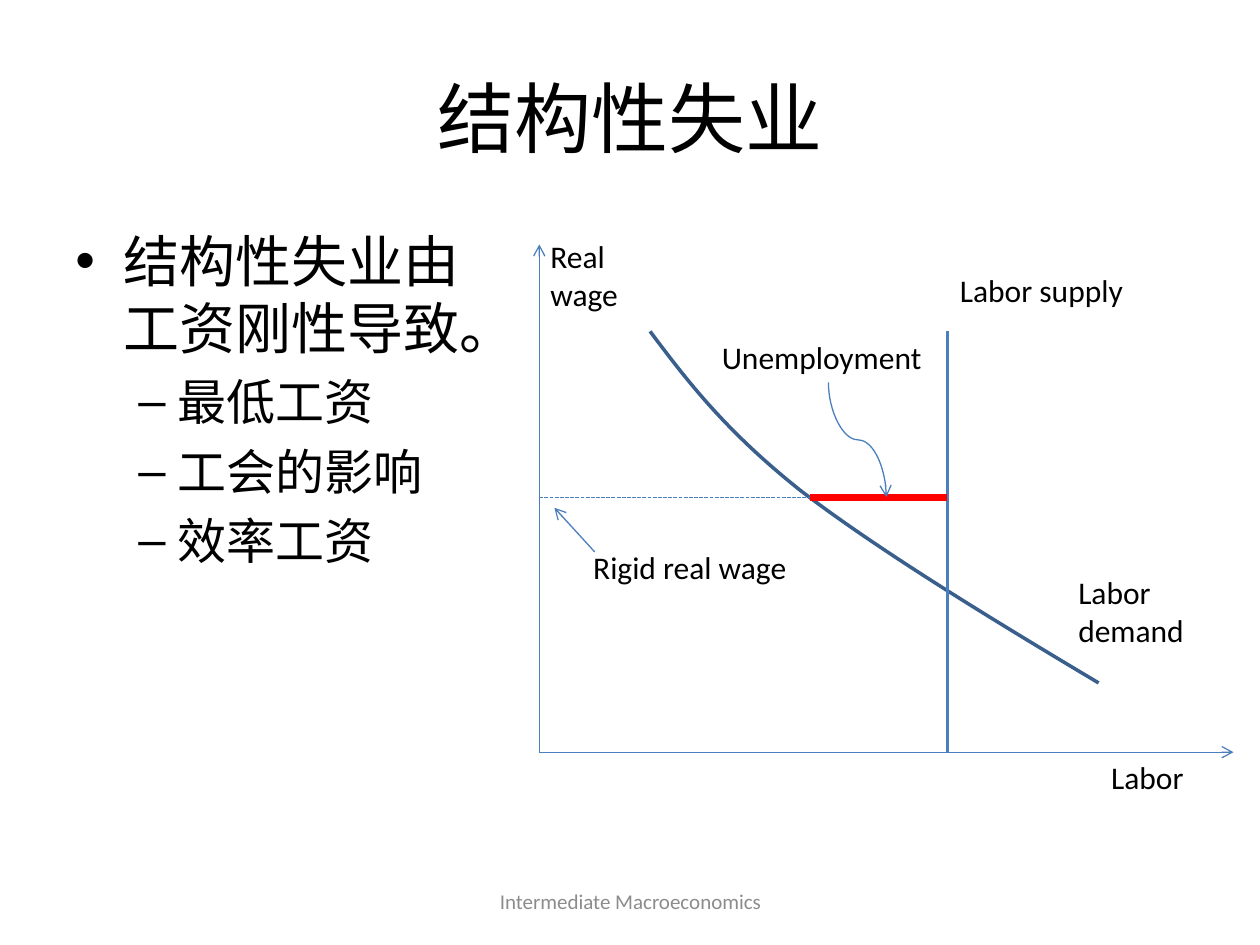
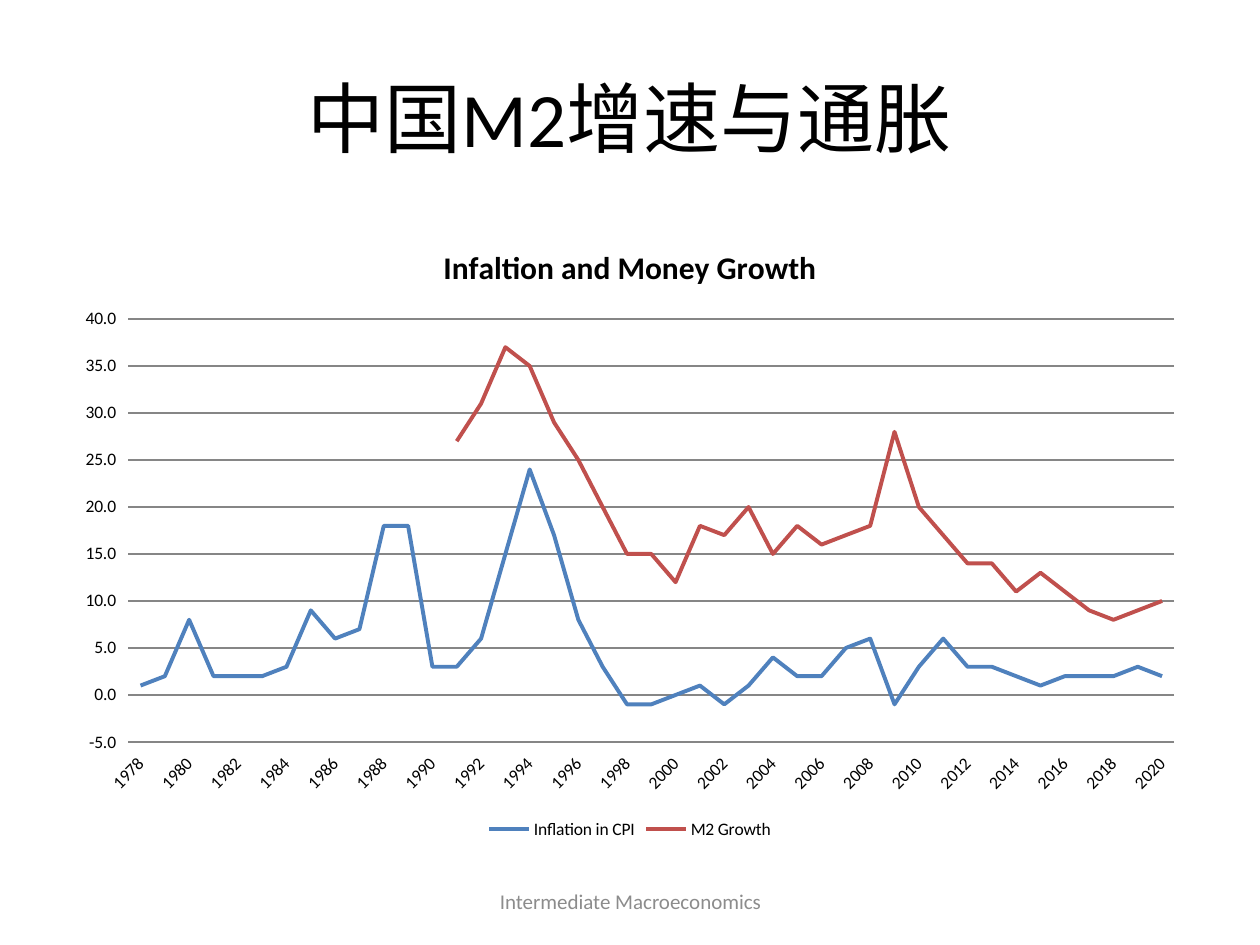
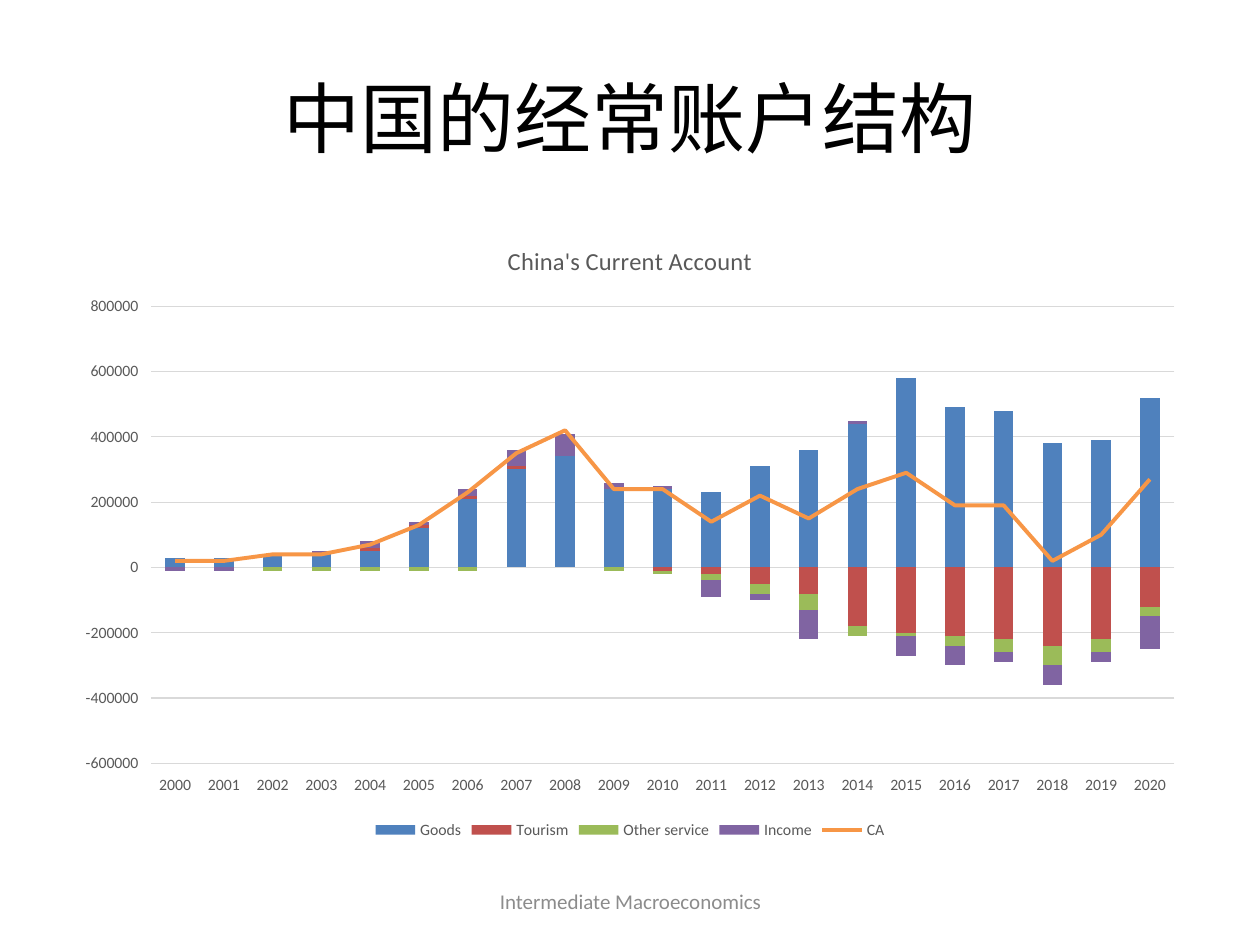
import copy
import dataclasses

import lxml.etree
import pptx
import pptx.chart.data
import pptx.dml.color
import pptx.enum.chart
import pptx.enum.dml
import pptx.enum.shapes
import pptx.enum.text
import pptx.oxml
import pptx.oxml.ns
import pptx.util

Inches = pptx.util.Inches
Pt = pptx.util.Pt
qn = pptx.oxml.ns.qn
ALIGN = pptx.enum.text.PP_ALIGN
ANCHOR = pptx.enum.text.MSO_ANCHOR
CONNECTOR = pptx.enum.shapes.MSO_CONNECTOR
CHART_TYPE = pptx.enum.chart.XL_CHART_TYPE


@dataclasses.dataclass(frozen=True)
class Theme:
    font: str = "Calibri"
    ink: str = "000000"
    footer_ink: str = "8C8C8C"
    soft_ink: str = "595959"
    axis: str = "4B7EBC"
    demand: str = "3A5F8C"
    highlight: str = "FF0000"
    grid: str = "868686"
    soft_grid: str = "D9D9D9"
    series: tuple = ("4F81BD", "C0504D", "9BBB59", "8064A2", "F79646")
    title_size: float = 44
    body_size: float = 32
    sub_size: float = 28
    label_size: float = 18
    footer_size: float = 12
    thin: float = 0.75
    medium: float = 2
    chart_line: float = 2.25
    thick: float = 4


@dataclasses.dataclass(frozen=True)
class ChartStyle:
    title_size: float
    title_bold: bool
    text_size: float
    ink: str
    grid: str
    low: float
    high: float
    step: float
    number_format: str


THEME = Theme()
FOOTER = "Intermediate Macroeconomics"
CHART_AREA = (0.5, 1.75, 9, 4.95)
ORIGIN = (4.28, 5.97)
WAGE_Y = 3.95
SUPPLY_X = 7.52

MONEY_STYLE = ChartStyle(18, True, 10, THEME.ink, THEME.grid, -5, 40, 5, "0.0")
ACCOUNT_STYLE = ChartStyle(14, False, 9, THEME.soft_ink, THEME.soft_grid,
                           -600000, 800000, 200000, "General")

INFLATION = (1, 2, 8, 2, 2, 2, 3, 9, 6, 7, 18, 18, 3, 3, 6, 15, 24, 17, 8, 3, -1, -1,
             0, 1, -1, 1, 4, 2, 2, 5, 6, -1, 3, 6, 3, 3, 2, 1, 2, 2, 2, 3, 2)
M2_GROWTH = (None,) * 13 + (27, 31, 37, 35, 29, 25, 20, 15, 15, 12, 18, 17, 20, 15, 18,
                            16, 17, 18, 28, 20, 17, 14, 14, 11, 13, 11, 9, 8, 9, 10)
ACCOUNT_TEN_THOUSANDS = {
    "Goods": (3, 3, 4, 4, 5, 12, 21, 30, 34, 24, 24, 23, 31, 36, 44, 58, 49, 48, 38, 39, 52),
    "Tourism": (0, 0, 0, 0, 1, 1, 1, 1, 0, 0, -1, -2, -5, -8, -18, -20, -21, -22, -24, -22, -12),
    "Other service": (0, 0, -1, -1, -1, -1, -1, 0, 0, -1, -1, -2, -3, -5, -3, -1, -3, -4, -6,
                      -4, -3),
    "Income": (-1, -1, 0, 1, 2, 1, 2, 5, 7, 2, 1, -5, -2, -9, 1, -6, -6, -3, -6, -3, -10),
    "CA": (2, 2, 4, 4, 7, 13, 23, 35, 42, 24, 24, 14, 22, 15, 24, 29, 19, 19, 2, 10, 27),
}


def rgb(color):
    return pptx.dml.color.RGBColor.from_string(color)


def style_font(font, size, color, bold=False):
    font.name = THEME.font
    font.size = Pt(size)
    font.bold = bold
    font.color.rgb = rgb(color)


def style_line(line, color, width):
    line.color.rgb = rgb(color)
    line.width = Pt(width)


def add_span(para, text, size, color=THEME.ink):
    span = para.add_run()
    span.text = text
    style_font(span.font, size, color)


def add_box(page, area):
    box = page.shapes.add_textbox(*map(Inches, area))
    box.text_frame.word_wrap = True
    return box.text_frame


def add_centered(page, area, text, size, color):
    frame = add_box(page, area)
    frame.vertical_anchor = ANCHOR.MIDDLE
    para = frame.paragraphs[0]
    para.alignment = ALIGN.CENTER
    add_span(para, text, size, color)


def add_label(page, area, text):
    frame = add_box(page, area)
    frame.auto_size = pptx.enum.text.MSO_AUTO_SIZE.SHAPE_TO_FIT_TEXT
    add_span(frame.paragraphs[0], text, THEME.label_size)


def add_bullet(para, mark, margin, hanging):
    properties = para._p.get_or_add_pPr()
    properties.set("marL", str(Inches(margin)))
    properties.set("indent", str(-Inches(hanging)))
    lxml.etree.SubElement(properties, qn("a:buFont")).set("typeface", "Arial")
    lxml.etree.SubElement(properties, qn("a:buChar")).set("char", mark)


def add_outline(page, area, heading, points):
    frame = add_box(page, area)
    para = frame.paragraphs[0]
    add_bullet(para, "•", 0.38, 0.38)
    add_span(para, heading, THEME.body_size)
    for point in points:
        para = frame.add_paragraph()
        para.level = 1
        para.space_before = Pt(6)
        add_bullet(para, "–", 0.81, 0.31)
        add_span(para, point, THEME.sub_size)


def add_line(page, start, end, color=THEME.axis, width=THEME.thin, arrow=False,
             dash=None, kind=CONNECTOR.STRAIGHT):
    line = page.shapes.add_connector(kind, *map(Inches, start + end))
    style_line(line.line, color, width)
    if dash is not None:
        line.line.dash_style = dash
    if arrow:
        lxml.etree.SubElement(line.get_or_add_ln(), qn("a:tailEnd")).set("type", "arrow")
    lxml.etree.SubElement(line.element.spPr, qn("a:effectLst"))
    return line


def add_curve(page, start, controls, color, width):
    builder = page.shapes.build_freeform(*map(Inches, start), scale=1.0)
    builder.add_line_segments([tuple(map(Inches, point)) for point in controls], close=False)
    curve = builder.convert_to_shape()
    curve.shadow.inherit = False
    curve.fill.background()
    style_line(curve.line, color, width)
    outline = curve.element.xpath(".//a:path")[0]
    segments = outline.findall(qn("a:lnTo"))
    for first in range(0, len(segments), 3):
        bezier = lxml.etree.SubElement(outline, qn("a:cubicBezTo"))
        for segment in segments[first:first + 3]:
            bezier.append(segment[0])
            outline.remove(segment)


def add_page(deck, title):
    page = deck.slides.add_slide(deck.slide_layouts[6])
    add_centered(page, (0.5, 0.3, 9, 1.25), title, THEME.title_size, THEME.ink)
    add_centered(page, (3.42, 6.95, 3.17, 0.4), FOOTER, THEME.footer_size, THEME.footer_ink)
    return page


def style_axis(axis, style):
    axis.major_tick_mark = pptx.enum.chart.XL_TICK_MARK.NONE
    axis.minor_tick_mark = pptx.enum.chart.XL_TICK_MARK.NONE
    axis.tick_label_position = pptx.enum.chart.XL_TICK_LABEL_POSITION.LOW
    style_font(axis.tick_labels.font, style.text_size, style.ink)


def add_chart(page, kind, title, years, series, style):
    data = pptx.chart.data.CategoryChartData(number_format=style.number_format)
    data.categories = [str(year) for year in years]
    for name, values in series.items():
        data.add_series(name, values)
    chart = page.shapes.add_chart(kind, *map(Inches, CHART_AREA), data).chart
    style_font(chart.font, 10, THEME.ink)

    para = chart.chart_title.text_frame.paragraphs[0]
    span = para.add_run()
    span.text = title
    style_font(span.font, style.title_size, style.ink, style.title_bold)

    chart.has_legend = True
    chart.legend.position = pptx.enum.chart.XL_LEGEND_POSITION.BOTTOM
    chart.legend.include_in_layout = False
    style_font(chart.legend.font, style.text_size, style.ink)

    style_axis(chart.category_axis, style)
    style_line(chart.category_axis.format.line, style.grid, THEME.thin)

    values = chart.value_axis
    style_axis(values, style)
    values.format.line.fill.background()
    values.minimum_scale, values.maximum_scale = style.low, style.high
    values.major_unit = style.step
    values.tick_labels.number_format = style.number_format
    values.tick_labels.number_format_is_linked = False
    values.has_major_gridlines = True
    style_line(values.major_gridlines.format.line, style.grid, THEME.thin)
    chart.plots[0].vary_by_categories = False
    return chart


def style_line_series(series, color):
    series.smooth = False
    series.marker.style = pptx.enum.chart.XL_MARKER_STYLE.NONE
    style_line(series.format.line, color, THEME.chart_line)


def slant_year_labels(chart, every):
    axis = chart.element.xpath(".//c:catAx")[0]
    axis.xpath("c:txPr/a:bodyPr")[0].set("rot", str(-45 * 60000))
    skip = lxml.etree.Element(qn("c:tickLblSkip"))
    skip.set("val", str(every))
    axis.find(qn("c:noMultiLvlLbl")).addprevious(skip)


def turn_last_series_into_line(chart):
    bars = chart.element.xpath(".//c:barChart")[0]
    series = bars.findall(qn("c:ser"))[-1]
    for flag in series.findall(qn("c:invertIfNegative")):
        series.remove(flag)
    lines = lxml.etree.Element(qn("c:lineChart"))
    lines = pptx.oxml.parse_xml(lxml.etree.tostring(lines))
    bars.addnext(lines)
    lxml.etree.SubElement(lines, qn("c:grouping")).set("val", "standard")
    lxml.etree.SubElement(lines, qn("c:varyColors")).set("val", "0")
    lines.append(series)
    lxml.etree.SubElement(lines, qn("c:marker")).set("val", "1")
    for axis in bars.findall(qn("c:axId")):
        lines.append(copy.deepcopy(axis))


def build_unemployment(deck):
    page = add_page(deck, "结构性失业")
    add_outline(page, (0.5, 1.75, 3.48, 4.95), "结构性失业由工资刚性导致。",
                ("最低工资", "工会的影响", "效率工资"))
    left, bottom = ORIGIN
    add_line(page, ORIGIN, (9.79, bottom), arrow=True)
    add_line(page, ORIGIN, (left, 1.94), arrow=True)
    add_curve(page, (5.16, 2.63),
              ((5.46, 3.03), (5.76, 3.42), (6.35, 3.89),
               (6.95, 4.35), (7.83, 4.89), (8.72, 5.42)),
              THEME.demand, THEME.medium)
    add_line(page, (left, WAGE_Y), (SUPPLY_X, WAGE_Y),
             dash=pptx.enum.dml.MSO_LINE.SQUARE_DOT)
    add_line(page, (SUPPLY_X, 2.63), (SUPPLY_X, bottom), width=THEME.medium)
    add_line(page, (6.43, WAGE_Y), (SUPPLY_X, WAGE_Y), THEME.highlight, THEME.thick)
    pointer = add_line(page, (7.26, 3.26), (6.35, 3.72), arrow=True, kind=CONNECTOR.CURVE)
    pointer.element.spPr.find(qn("a:xfrm")).set("rot", str(270 * 60000))
    add_line(page, (4.72, 4.38), (4.4, 4.03), arrow=True)
    for text, area in (
        ("Unemployment", (5.63, 2.63, 1.89, 0.4)),
        ("Rigid real wage", (4.61, 4.3, 2.2, 0.4)),
        ("Labor demand", (8.46, 4.5, 1.33, 0.71)),
        ("Labor supply", (7.52, 2.1, 1.61, 0.4)),
        ("Labor", (8.72, 5.97, 1.28, 0.4)),
        ("Real wage", (4.27, 1.83, 1.15, 0.71)),
    ):
        add_label(page, area, text)


def build_money_growth(deck):
    page = add_page(deck, "中国M2增速与通胀")
    chart = add_chart(page, CHART_TYPE.LINE, "Infaltion and Money Growth", range(1978, 2021),
                      {"Inflation in CPI": INFLATION, "M2 Growth": M2_GROWTH}, MONEY_STYLE)
    slant_year_labels(chart, 2)
    for series, color in zip(chart.plots[0].series, THEME.series):
        style_line_series(series, color)


def build_current_account(deck):
    page = add_page(deck, "中国的经常账户结构")
    accounts = {name: [value * 10000 for value in values]
                for name, values in ACCOUNT_TEN_THOUSANDS.items()}
    chart = add_chart(page, CHART_TYPE.COLUMN_STACKED, "China's Current Account",
                      range(2000, 2021), accounts, ACCOUNT_STYLE)
    turn_last_series_into_line(chart)
    bars, lines = chart.plots
    bars.gap_width = 150
    bars.overlap = 100
    for series, color in zip(bars.series, THEME.series):
        series.invert_if_negative = False
        series.format.fill.solid()
        series.format.fill.fore_color.rgb = rgb(color)
    style_line_series(lines.series[0], THEME.series[-1])


def main():
    deck = pptx.Presentation()
    deck.slide_width = Inches(10)
    deck.slide_height = Inches(7.5)
    build_unemployment(deck)
    build_money_growth(deck)
    build_current_account(deck)
    deck.save("out.pptx")


if __name__ == "__main__":
    main()
